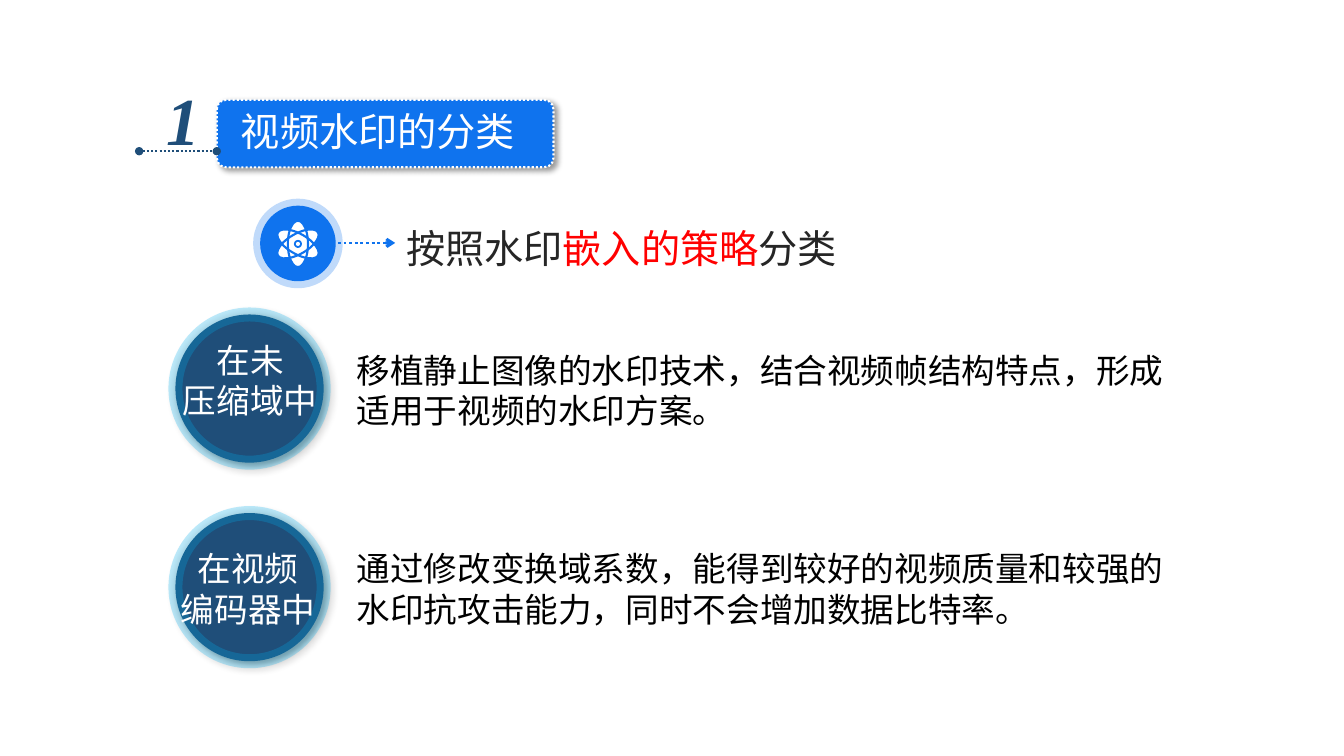
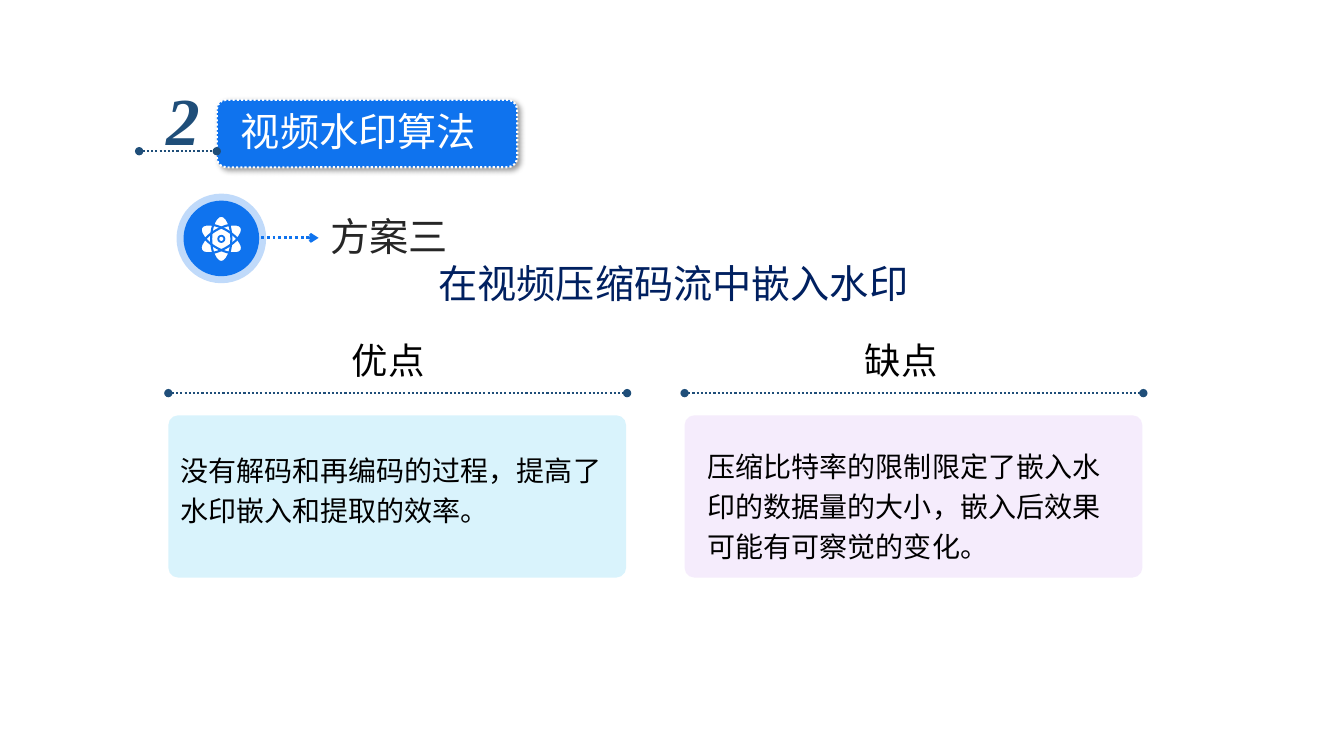
"""Build two slides on the classification and algorithms of video watermarks."""
from lxml.etree import SubElement
from pptx import Presentation
from pptx.dml.color import RGBColor
from pptx.enum.dml import MSO_LINE
from pptx.enum.shapes import MSO_CONNECTOR, MSO_SHAPE
from pptx.enum.text import MSO_ANCHOR, MSO_AUTO_SIZE, PP_ALIGN
from pptx.oxml.ns import qn
from pptx.util import Pt

PX = 9144
SANS = "Noto Sans CJK SC"
SERIF = "Times New Roman"
WHITE = RGBColor(0xFF, 0xFF, 0xFF)
BLACK = RGBColor(0x00, 0x00, 0x00)
CHARCOAL = RGBColor(0x26, 0x26, 0x26)
RED = RGBColor(0xFF, 0x00, 0x00)
BLUE = RGBColor(0x0F, 0x73, 0xEE)
STEEL = RGBColor(0x1F, 0x4E, 0x79)
NAVY = RGBColor(0x00, 0x20, 0x60)
CYAN = RGBColor(0x00, 0xB0, 0xF0)
LILAC = RGBColor(0xE3, 0xC9, 0xF7)


def write_text(shape, text, size, color, box, font=SANS, bold=False, italic=False,
               align=PP_ALIGN.LEFT, spacing=None, wrap=False, highlight=None):
    shape.left, shape.top, shape.width, shape.height = [length * PX for length in box]
    frame = shape.text_frame
    frame.word_wrap = wrap
    frame.auto_size = MSO_AUTO_SIZE.NONE
    frame.vertical_anchor = MSO_ANCHOR.TOP
    for number, line in enumerate(text.split("\n")):
        paragraph = frame.add_paragraph() if number else frame.paragraphs[0]
        paragraph.alignment = align
        if spacing:
            paragraph.line_spacing = spacing
        for piece in line.partition(highlight) if highlight else [line]:
            run = paragraph.add_run()
            run.text = piece
            run.font.size = Pt(size)
            run.font.bold = bold
            run.font.italic = italic
            run.font.color.rgb = RED if piece == highlight else color
            run.font.name = font
            SubElement(run.font._element, qn("a:ea"), typeface=SANS)


def draw_shape(shapes, kind, box, fill=None, fill_alpha=100, line=None, line_width=1,
               line_alpha=100, dotted=False, shadow=False, corner=None):
    shape = shapes.add_shape(kind, *[round(length * PX) for length in box])
    if corner is not None:
        shape.adjustments[0] = corner
    for format_fill, color, alpha in [(shape.fill, fill, fill_alpha),
                                      (shape.line.fill, line, line_alpha)]:
        if color is None:
            format_fill.background()
            continue
        format_fill.solid()
        format_fill.fore_color.rgb = color
        if alpha < 100:
            parent = shape.element.spPr if format_fill is shape.fill else shape.line._ln
            node = parent.find(qn("a:solidFill")).find(qn("a:srgbClr"))
            SubElement(node, qn("a:alpha"), val=str(alpha * 1000))
    if line is not None:
        shape.line.width = Pt(line_width)
    if dotted:
        shape.line.dash_style = MSO_LINE.ROUND_DOT
    shape.shadow.inherit = False
    if shadow:
        effects = shape.element.spPr.find(qn("a:effectLst"))
        outer = SubElement(effects, qn("a:outerShdw"), blurRad=str(Pt(4)), dist=str(Pt(3)),
                           dir="2700000", algn="tl", rotWithShape="0")
        color_node = SubElement(outer, qn("a:srgbClr"), val=str(BLACK))
        SubElement(color_node, qn("a:alpha"), val="40000")
    return shape


presentation = Presentation()
presentation.slide_width = 1333 * PX
presentation.slide_height = 750 * PX

headings = [
    ("1", "视频水印的分类", 334, 295, 258, 204,
     "按照水印嵌入的策略分类", (393, 218, 461, 57), "嵌入的策略"),
    ("2", "视频水印算法", 298, 256, 182, 199, "方案三", (318, 206, 138, 57), None),
]
slides = []
lines = []
for (number, title, banner_width, title_width, badge_left, badge_top,
     subtitle, subtitle_box, highlight) in headings:
    slide = presentation.slides.add_slide(presentation.slide_layouts[5])
    slides.append(slide)
    shapes = slide.shapes
    banner = draw_shape(shapes, MSO_SHAPE.ROUNDED_RECTANGLE, (215, 99, banner_width, 67),
                        fill=BLUE, line=WHITE, line_width=1.5, dotted=True,
                        shadow=True, corner=0.14)
    shapes.title.element.addprevious(banner.element)
    write_text(shapes.title, title, 28, WHITE, (229, 107, title_width, 53), spacing=0.9)
    write_text(shapes.add_textbox(0, 0, 0, 0), number, 48, STEEL, (155, 73, 54, 91),
               font=SERIF, bold=True, italic=True)
    lines.append((slide, 138, 215, 150, STEEL, 1.5, "oval", "oval"))

    draw_shape(shapes, MSO_SHAPE.OVAL, (badge_left, badge_top, 75, 75),
               fill=BLUE, line=BLUE, line_width=10, line_alpha=25)
    center_x, center_y = badge_left + 37.5, badge_top + 38
    atom = shapes.add_group_shape().shapes
    for orbit_fill, orbit_line in [(WHITE, None), (None, BLUE)]:
        for angle in (0, 60, 120):
            orbit = draw_shape(atom, MSO_SHAPE.OVAL, (center_x - 10, center_y - 23, 20, 46),
                               fill=orbit_fill, line=orbit_line, line_width=1.5)
            orbit.rotation = angle
    for radius, color in [(4, BLUE), (2, WHITE)]:
        draw_shape(atom, MSO_SHAPE.OVAL,
                   (center_x - radius, center_y - radius, 2 * radius, 2 * radius), fill=color)
    lines.append((slide, badge_left + 66, badge_left + 134, badge_top + 37,
                  BLUE, 2, "none", "arrow"))
    write_text(shapes.add_textbox(0, 0, 0, 0), subtitle, 28, CHARCOAL, subtitle_box,
               highlight=highlight)

strategy_slide, scheme_slide = slides

strategies = [
    (312, "在未\n压缩域中", (145, 332, 206, 91),
     "移植静止图像的水印技术，结合视频帧结构特点，形成适用于视频的水印方案。"),
    (509, "在视频\n编码器中", (160, 539, 172, 91),
     "通过修改变换域系数，能得到较好的视频质量和较强的水印抗攻击能力，同时不会增加数据比特率。"),
]
shapes = strategy_slide.shapes
for top, label, label_box, description in strategies:
    write_text(shapes.add_textbox(0, 0, 0, 0), description, 24, BLACK,
               (344, top + 30, 833, 91), wrap=True)
    draw_shape(shapes, MSO_SHAPE.OVAL, (174, top, 147, 147), fill=STEEL,
               line=CYAN, line_width=10, line_alpha=25, shadow=True)
    write_text(shapes.add_textbox(0, 0, 0, 0), label, 24, WHITE, label_box,
               align=PP_ALIGN.CENTER, wrap=True)

shapes = scheme_slide.shapes
write_text(shapes.add_textbox(0, 0, 0, 0), "在视频压缩码流中嵌入水印", 28, NAVY,
           (425, 252, 491, 57))
cards = [
    (167, CYAN, 15, "优点", 339, SERIF, (169, 438, 454, 88),
     "没有解码和再编码的过程，提高了水印嵌入和提取的效率。"),
    (679, LILAC, 34, "缺点", 848, SANS, (692, 434, 430, 129),
     "压缩比特率的限制限定了嵌入水印的数据量的大小，嵌入后效果可能有可察觉的变化。"),
]
for left, color, alpha, heading, heading_left, font, body_box, body in cards:
    lines.append((scheme_slide, left, left + 455, 390, STEEL, 1.5, "oval", "oval"))
    draw_shape(shapes, MSO_SHAPE.ROUNDED_RECTANGLE, (left, 412, 454, 161),
               fill=color, fill_alpha=alpha, corner=0.06)
    write_text(shapes.add_textbox(0, 0, 0, 0), body, 20, BLACK, body_box,
               font=font, spacing=1.2, wrap=True)
    write_text(shapes.add_textbox(0, 0, 0, 0), heading, 26, BLACK,
               (heading_left, 331, 273, 54), wrap=True)

for slide, start, end, y, color, width, head, tail in lines:
    connector = slide.shapes.add_connector(MSO_CONNECTOR.STRAIGHT,
                                           start * PX, y * PX, end * PX, y * PX)
    connector.line.color.rgb = color
    connector.line.width = Pt(width)
    connector.line.dash_style = MSO_LINE.ROUND_DOT
    SubElement(connector.line._ln, qn("a:headEnd"), type=head)
    SubElement(connector.line._ln, qn("a:tailEnd"), type=tail)
    SubElement(connector.element.spPr, qn("a:effectLst"))

presentation.save("out.pptx")
